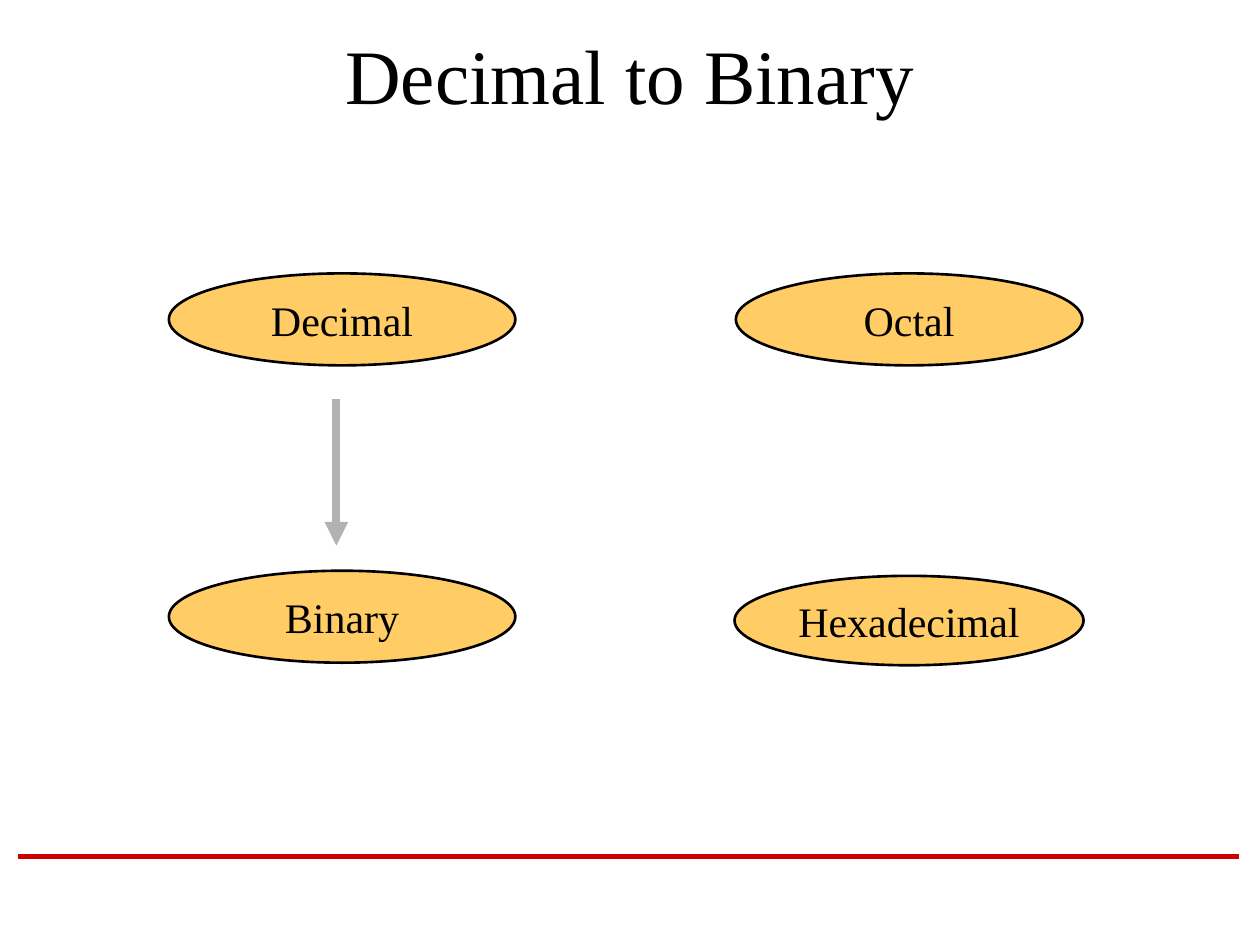
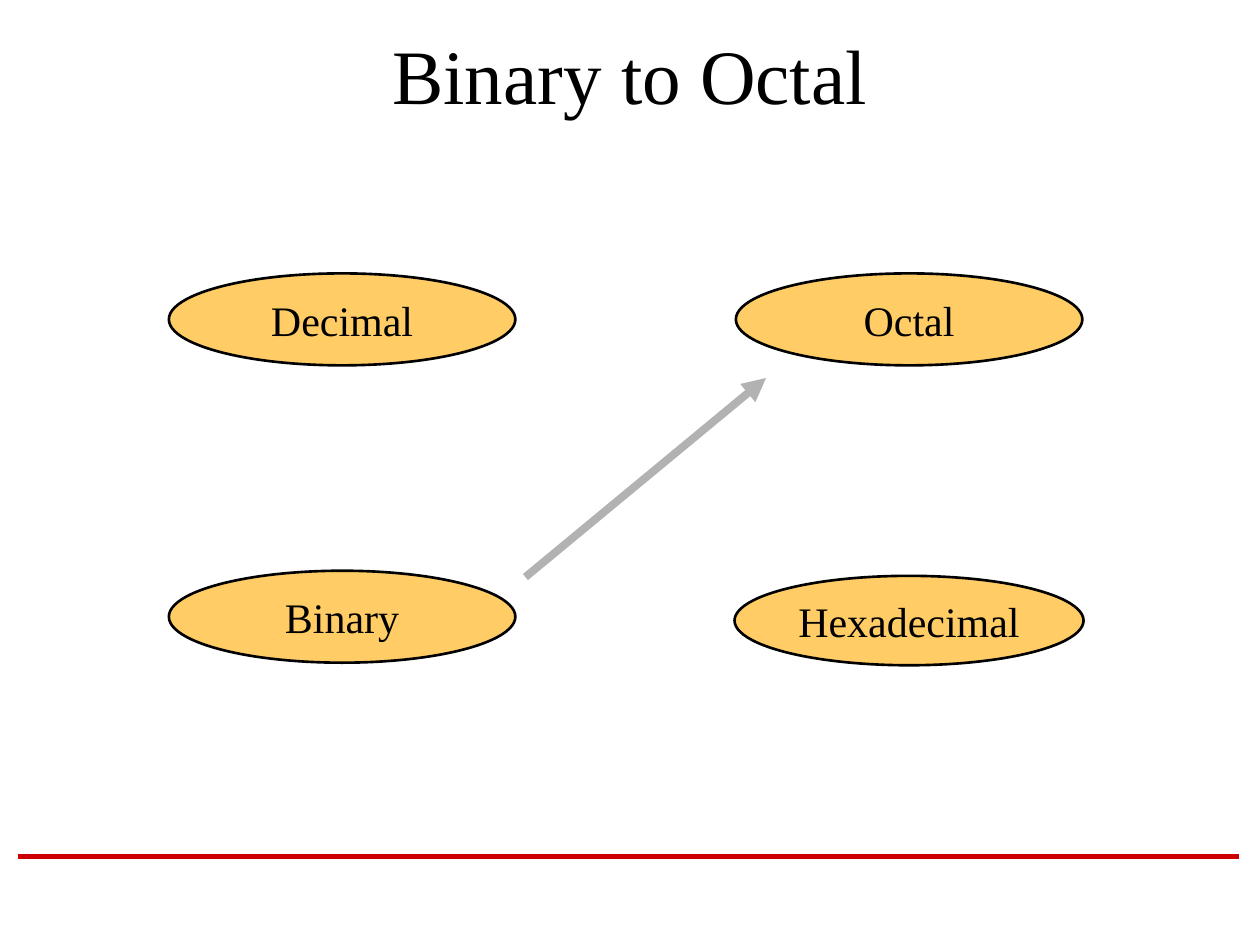
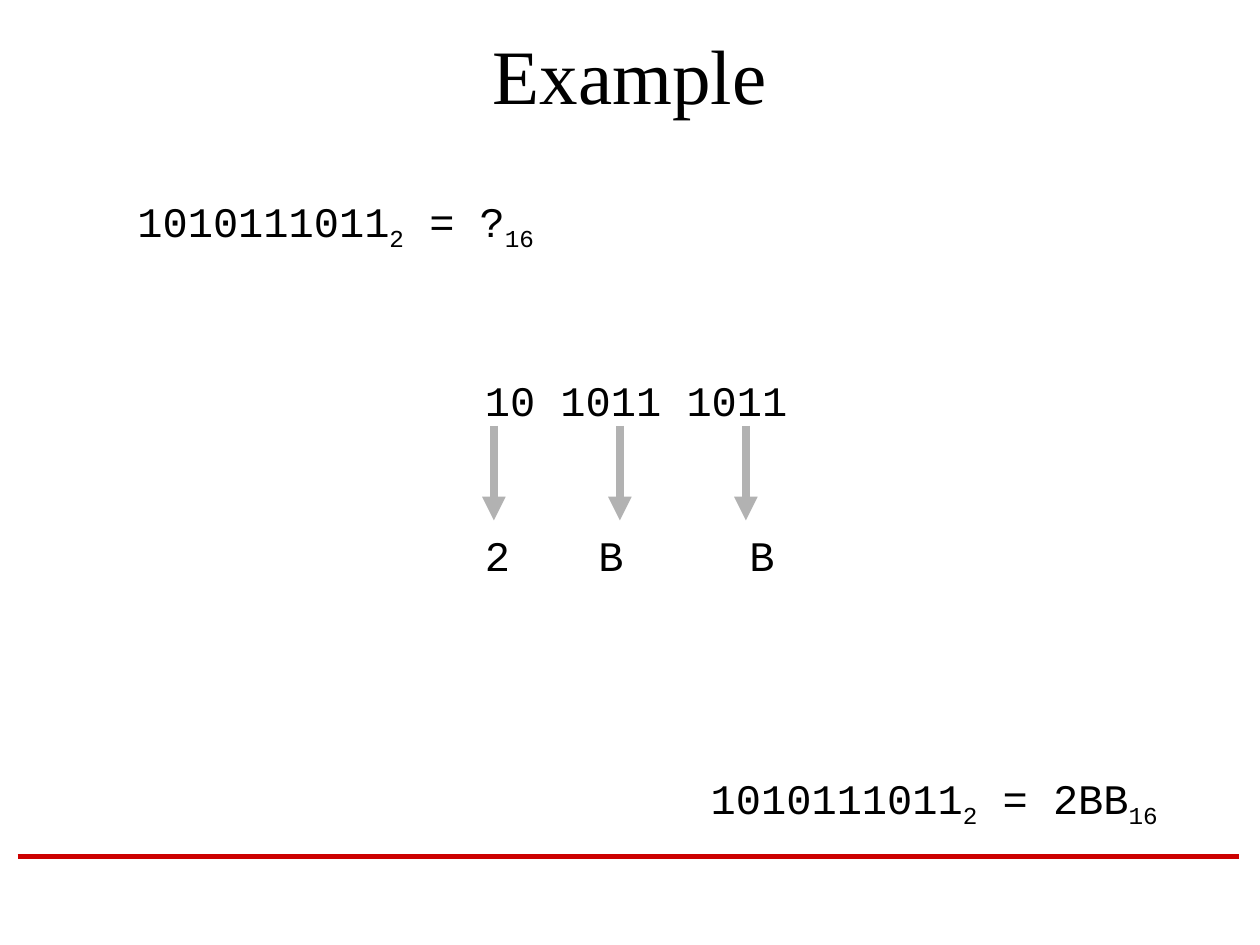
from dataclasses import dataclass

from lxml.etree import SubElement
from pptx import Presentation
from pptx.dml.color import RGBColor
from pptx.enum.shapes import MSO_CONNECTOR as Connector, MSO_SHAPE as Shape
from pptx.enum.text import MSO_ANCHOR as Anchor, PP_ALIGN as Align
from pptx.oxml.ns import qn
from pptx.util import Emu, Pt

PX = 9144  # EMU per px, 100 px to the inch
COLORS = {"text": "000000", "oval": "FFCC66", "arrow": "B2B2B2", "rule": "CC0000"}
SERIF, MONO = "Times New Roman", "Courier New"


@dataclass(frozen=True)
class Box:
    left: int
    top: int
    width: int
    height: int

    def emu(self) -> list[Emu]:
        return [px(n) for n in (self.left, self.top, self.width, self.height)]


@dataclass(frozen=True)
class NumberBase:
    name: str
    box: Box


@dataclass(frozen=True)
class Arrow:
    x1: int
    y1: int
    x2: int
    y2: int


@dataclass(frozen=True)
class Conversion:
    title: str
    arrow: Arrow


@dataclass(frozen=True)
class Equation:
    box: Box
    result: str


TITLE_BOX = Box(75, 17, 850, 83)
FOOTER_RULE = Arrow(14, 680, 983, 680)
BASES = [
    NumberBase("Hexadecimal", Box(583, 457, 277, 71)),
    NumberBase("Decimal", Box(134, 217, 275, 73)),
    NumberBase("Octal", Box(584, 217, 275, 73)),
    NumberBase("Binary", Box(134, 453, 275, 73)),
]
CONVERSIONS = [
    Conversion("Decimal to Binary", Arrow(267, 317, 267, 433)),
    Conversion("Binary to Octal", Arrow(417, 458, 608, 300)),
]
EQUATIONS = [
    Equation(Box(33, 150, 467, 56), "?"),
    Equation(Box(508, 608, 467, 56), "2BB"),
]
GROUPS_BOX = Box(375, 292, 467, 177)
DIGIT_TABS = (90, 210)


def px(n: int) -> Emu:
    return Emu(n * PX)


def rgb(name: str) -> RGBColor:
    return RGBColor.from_string(COLORS[name])


def add_run(paragraph, text: str, size: int, font: str, subscript: bool = False) -> None:
    run = paragraph.add_run()
    run.text = text
    run.font.size = Pt(size)
    run.font.name = font
    run.font.color.rgb = rgb("text")
    if subscript:
        run.font._element.set("baseline", "-25000")


def add_text_frame(slide, box: Box):
    frame = slide.shapes.add_textbox(*box.emu()).text_frame
    frame.word_wrap = True
    return frame


def draw_line(slide, span: Arrow, color: str, width: float, pointed: bool = True) -> None:
    ends = [px(n) for n in (span.x1, span.y1, span.x2, span.y2)]
    connector = slide.shapes.add_connector(Connector.STRAIGHT, *ends)
    connector.line.color.rgb = rgb(color)
    connector.line.width = Pt(width)
    properties = connector._element.spPr
    if pointed:
        SubElement(properties.find(qn("a:ln")), qn("a:tailEnd"), type="triangle")
    SubElement(properties, qn("a:effectLst"))


def draw_arrow(slide, arrow: Arrow) -> None:
    draw_line(slide, arrow, "arrow", 4.5)


def draw_base(slide, base: NumberBase) -> None:
    oval = slide.shapes.add_shape(Shape.OVAL, *base.box.emu())
    oval.shadow.inherit = False
    oval.fill.solid()
    oval.fill.fore_color.rgb = rgb("oval")
    oval.line.color.rgb = rgb("text")
    oval.line.width = Pt(1.5)
    frame = oval.text_frame
    frame.word_wrap = False
    frame.vertical_anchor = Anchor.MIDDLE
    label = frame.paragraphs[0]
    label.alignment = Align.CENTER
    add_run(label, base.name, 24, SERIF)


def draw_equation(slide, equation: Equation) -> None:
    line = add_text_frame(slide, equation.box).paragraphs[0]
    line.alignment = Align.CENTER
    add_run(line, "1010111011", 24, MONO)
    add_run(line, "2", 24, MONO, subscript=True)
    add_run(line, f" = {equation.result}", 24, MONO)
    add_run(line, "16", 24, MONO, subscript=True)


def draw_groups(slide) -> None:
    frame = add_text_frame(slide, GROUPS_BOX)
    add_run(frame.paragraphs[0], "10 1011 1011", 24, MONO)

    # Hexadecimal digits, set on tab stops below their bit groups
    digits = frame.add_paragraph()
    tabs = SubElement(digits._p.get_or_add_pPr(), qn("a:tabLst"))
    for stop in DIGIT_TABS:
        SubElement(tabs, qn("a:tab"), pos=str(px(stop)), algn="l")
    digits.space_before = Pt(60)
    add_run(digits, "2\tB\tB", 24, MONO)


def start_slide(deck, title: str):
    """Add a blank slide with the shared footer rule and title."""
    slide = deck.slides.add_slide(deck.slide_layouts[6])
    draw_line(slide, FOOTER_RULE, "rule", 3, pointed=False)
    frame = add_text_frame(slide, TITLE_BOX)
    frame.vertical_anchor = Anchor.MIDDLE
    heading = frame.paragraphs[0]
    heading.alignment = Align.CENTER
    add_run(heading, title, 44, SERIF)
    return slide


def main() -> None:
    deck = Presentation()
    deck.slide_width, deck.slide_height = px(1000), px(750)

    # Conversion maps
    for conversion in CONVERSIONS:
        slide = start_slide(deck, conversion.title)
        for base in BASES:
            draw_base(slide, base)
        draw_arrow(slide, conversion.arrow)

    # Worked example
    example = start_slide(deck, "Example")
    question, answer = EQUATIONS
    draw_equation(example, question)
    draw_groups(example)
    for x in range(392, 593, 100):
        draw_arrow(example, Arrow(x, 338, x, 413))
    draw_equation(example, answer)

    deck.save("out.pptx")


if __name__ == "__main__":
    main()
